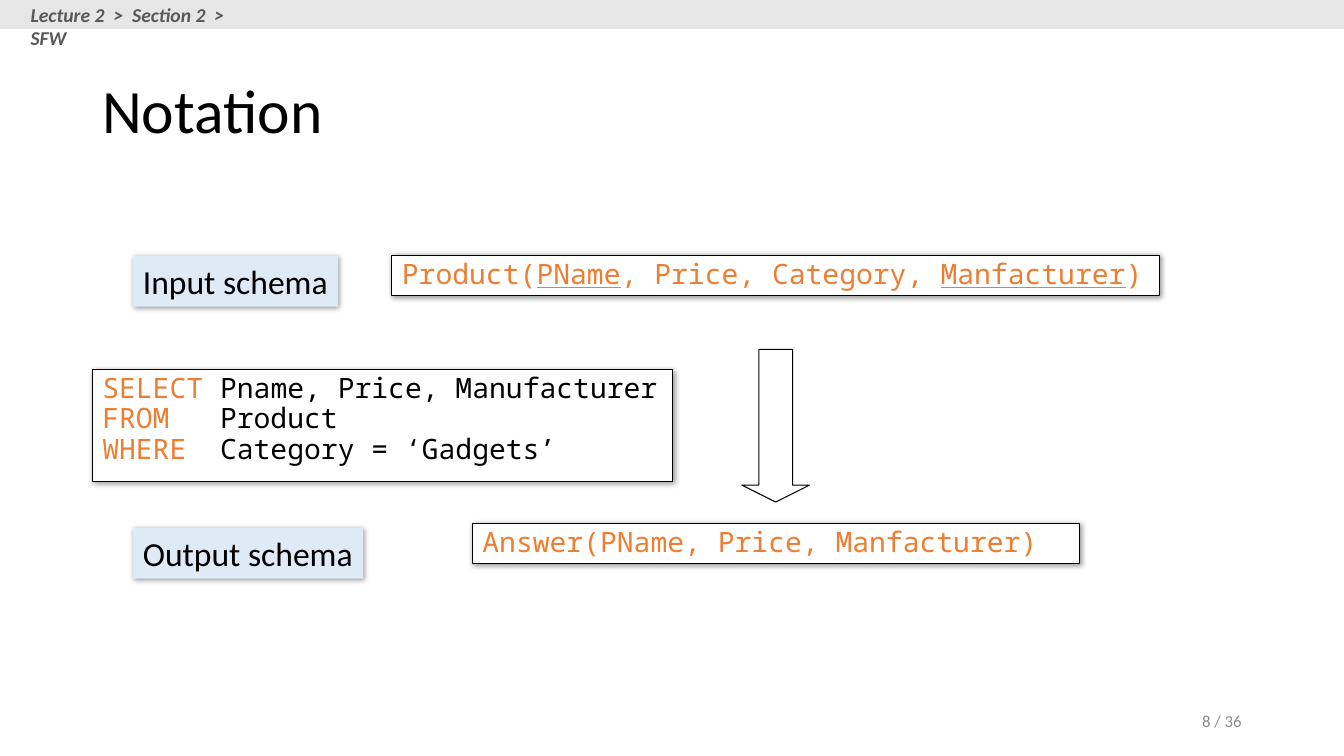
from pptx import Presentation
from pptx.dml.color import RGBColor
from pptx.enum.shapes import MSO_SHAPE
from pptx.enum.text import MSO_ANCHOR, PP_ALIGN
from pptx.oxml import parse_xml
from pptx.oxml.ns import nsdecls
from pptx.util import Pt

THEME = {
    "sans": "Calibri", "mono": "Noto Sans Mono",
    "black": RGBColor.from_string("000000"),
    "white": RGBColor.from_string("FFFFFF"),
    "orange": RGBColor.from_string("ED7D31"),
    "label": RGBColor.from_string("DEEBF7"),
    "band": RGBColor.from_string("E7E6E6"),
    "crumb": RGBColor.from_string("595959"),
    "number": RGBColor.from_string("8C8C8C"),
    "title_size": 44, "label_size": 24, "code_size": 20,
    "crumb_size": 14, "number_size": 12,
}
SHADOW = (
    f'<a:effectLst {nsdecls("a")}><a:outerShdw blurRad="50800" dist="12700" '
    'dir="2700000" algn="tl" rotWithShape="0"><a:srgbClr val="000000">'
    '<a:alpha val="40000"/></a:srgbClr></a:outerShdw></a:effectLst>'
)

deck = Presentation()
deck.slide_width, deck.slide_height = Pt(960), Pt(540)
page = deck.slides.add_slide(deck.slide_layouts[6])


def add_box(place, fill=None, outlined=False, shadow=False, kind=MSO_SHAPE.RECTANGLE):
    box = page.shapes.add_shape(kind, *map(Pt, place))
    box.shadow.inherit = False
    if fill is None:
        box.fill.background()
    else:
        box.fill.solid()
        box.fill.fore_color.rgb = fill
    if outlined:
        box.line.color.rgb = THEME["black"]
        box.line.width = Pt(0.75)
    else:
        box.line.fill.background()
    if shadow:
        properties = box._element.spPr
        properties.remove(properties.find("{*}effectLst"))
        properties.append(parse_xml(SHADOW))
    return box


def write(box, lines, font, size, color, anchor=MSO_ANCHOR.TOP, wrap=True):
    frame = box.text_frame
    frame.word_wrap = wrap
    frame.vertical_anchor = anchor
    para = frame.paragraphs[0]
    para.alignment = PP_ALIGN.LEFT
    para.font.name, para.font.size = THEME[font], Pt(THEME[size])
    para.font.color.rgb = THEME[color]
    for index, line in enumerate(lines):
        if index:
            para.add_line_break()
        for text, style in line:
            span = para.add_run()
            span.text = text
            if style == "underline":
                span.font.underline = True
            elif style:
                span.font.color.rgb = THEME[style]
    return para


title = page.shapes.add_textbox(Pt(66), Pt(28.8), Pt(828), Pt(104.4))
write(title, [[("Notation", None)]], "sans", "title_size", "black", MSO_ANCHOR.MIDDLE).line_spacing = 0.9

add_box((0, 0, 960, 20.6), THEME["band"])
breadcrumb = page.shapes.add_textbox(Pt(14.8), Pt(-1.5), Pt(183), Pt(24.2))
crumb = write(breadcrumb, [[("Lecture 2  >  Section 2  >  SFW", None)]], "sans", "crumb_size", "crumb")
crumb.font.bold = crumb.font.italic = True

arrow = add_box((530, 249.6, 48.2, 109), outlined=True, kind=MSO_SHAPE.DOWN_ARROW)
arrow.adjustments[0], arrow.adjustments[1] = 0.5, 0.25

query = [
    [("SELECT ", "orange"), ("Pname, Price, Manufacturer", None)],
    [("FROM ", "orange"), ("  Product", None)],
    [("WHERE", "orange"), ("  Category = ‘Gadgets’", None)],
]
input_schema = [[
    ("Product(", None), ("PName", "underline"), (", Price, Category, ", None),
    ("Manfacturer", "underline"), (")", None),
]]
output_schema = [[("Answer(PName, Price, Manfacturer)", None)]]
for place, lines, color, wrap in [
    ((66, 264, 414.6, 80), query, "black", False),
    ((280, 182.2, 548.5, 29), input_schema, "orange", True),
    ((337.5, 373.8, 433.5, 29), output_schema, "orange", True),
]:
    code = add_box(place, THEME["white"], outlined=True, shadow=True)
    write(code, lines, "mono", "code_size", color, wrap=wrap).line_spacing = 0.9

for text, top, width in [("Input schema", 182.7, 146.6), ("Output schema", 377, 164.4)]:
    label = add_box((95, top, width, 36.4), THEME["label"], shadow=True)
    write(label, [[(text, None)]], "sans", "label_size", "black", wrap=False)

page_number = page.shapes.add_textbox(Pt(678), Pt(500.5), Pt(216), Pt(28.8))
number = write(page_number, [[("8 / 36", None)]], "sans", "number_size", "number", MSO_ANCHOR.MIDDLE)
number.alignment = PP_ALIGN.RIGHT

deck.save("out.pptx")
